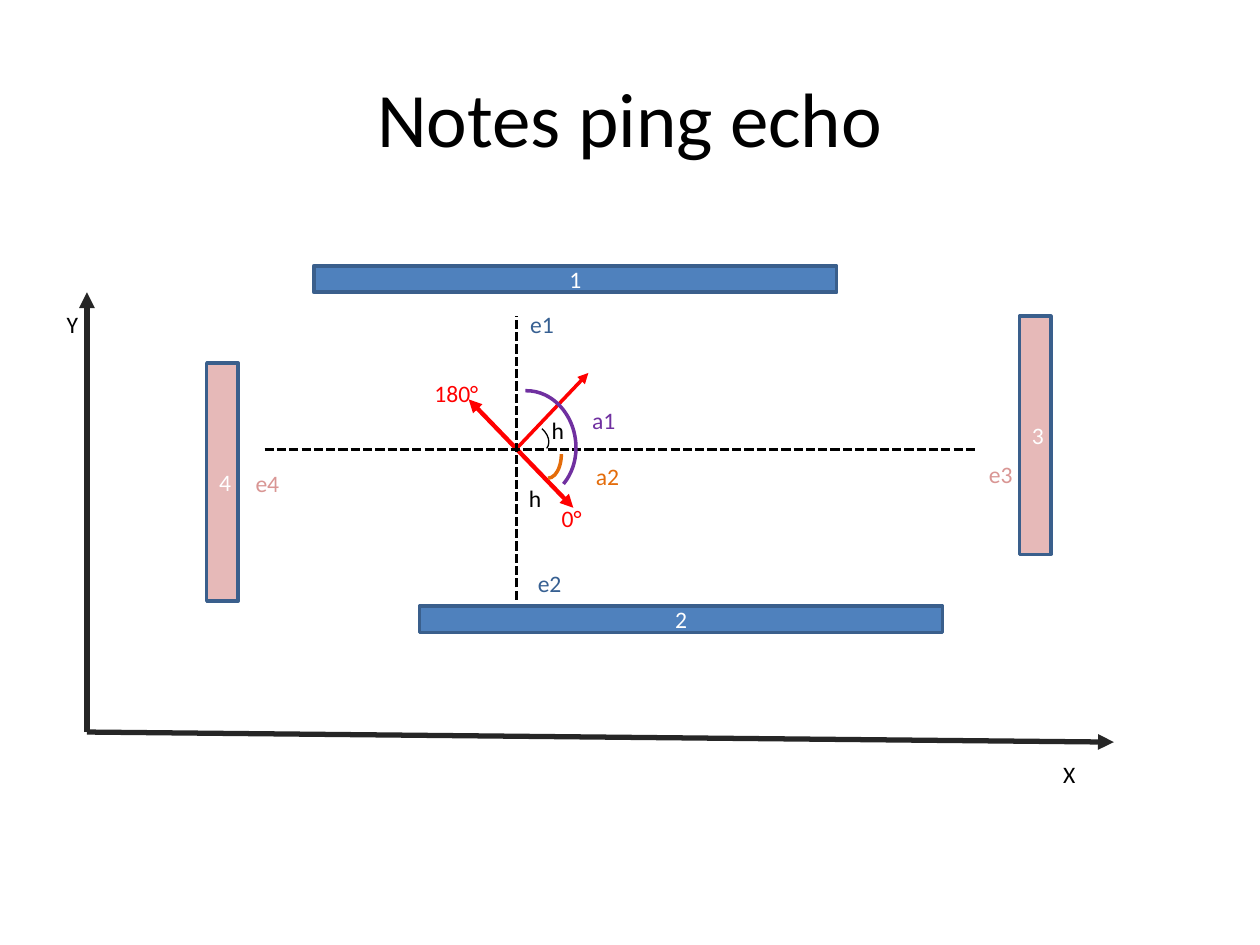
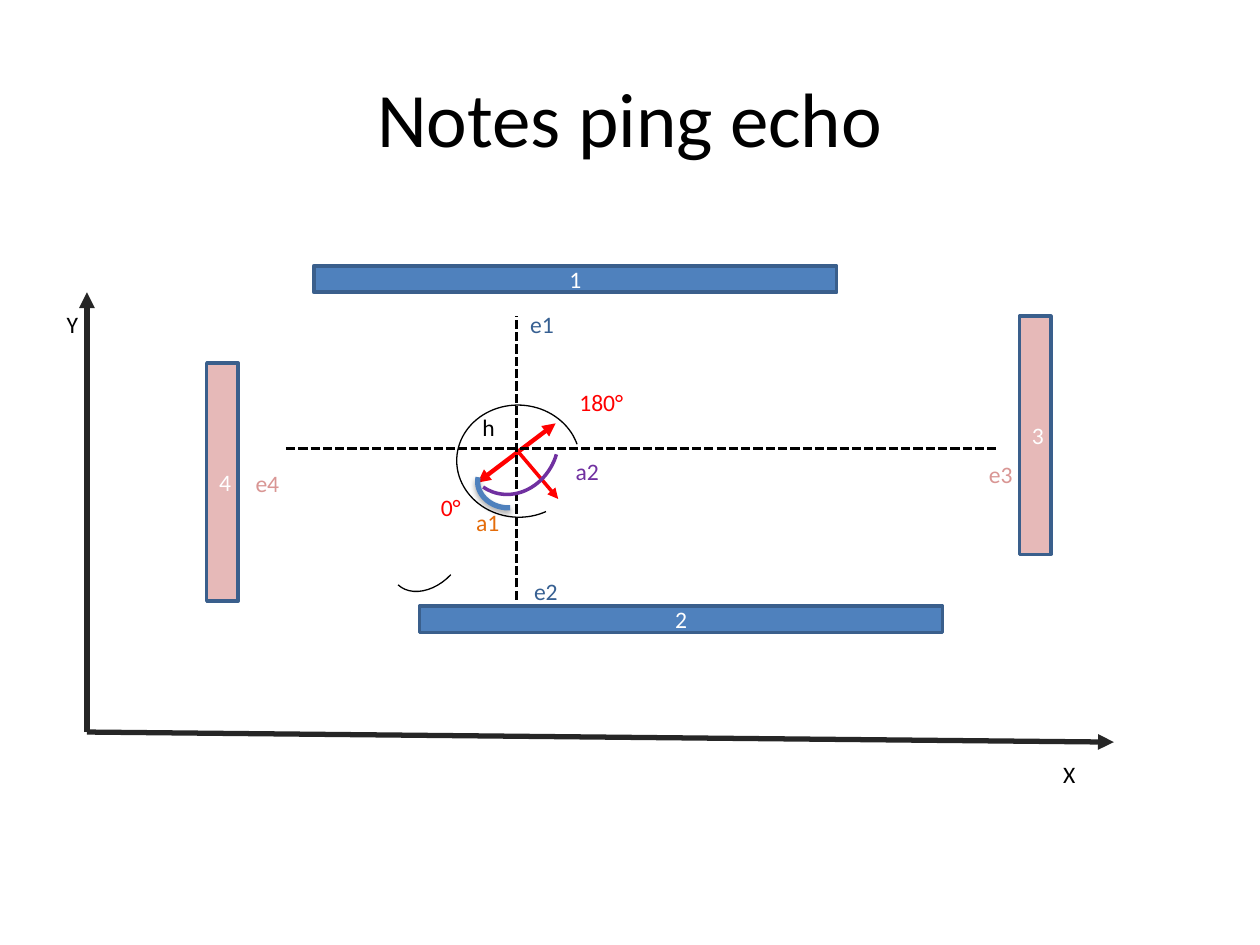
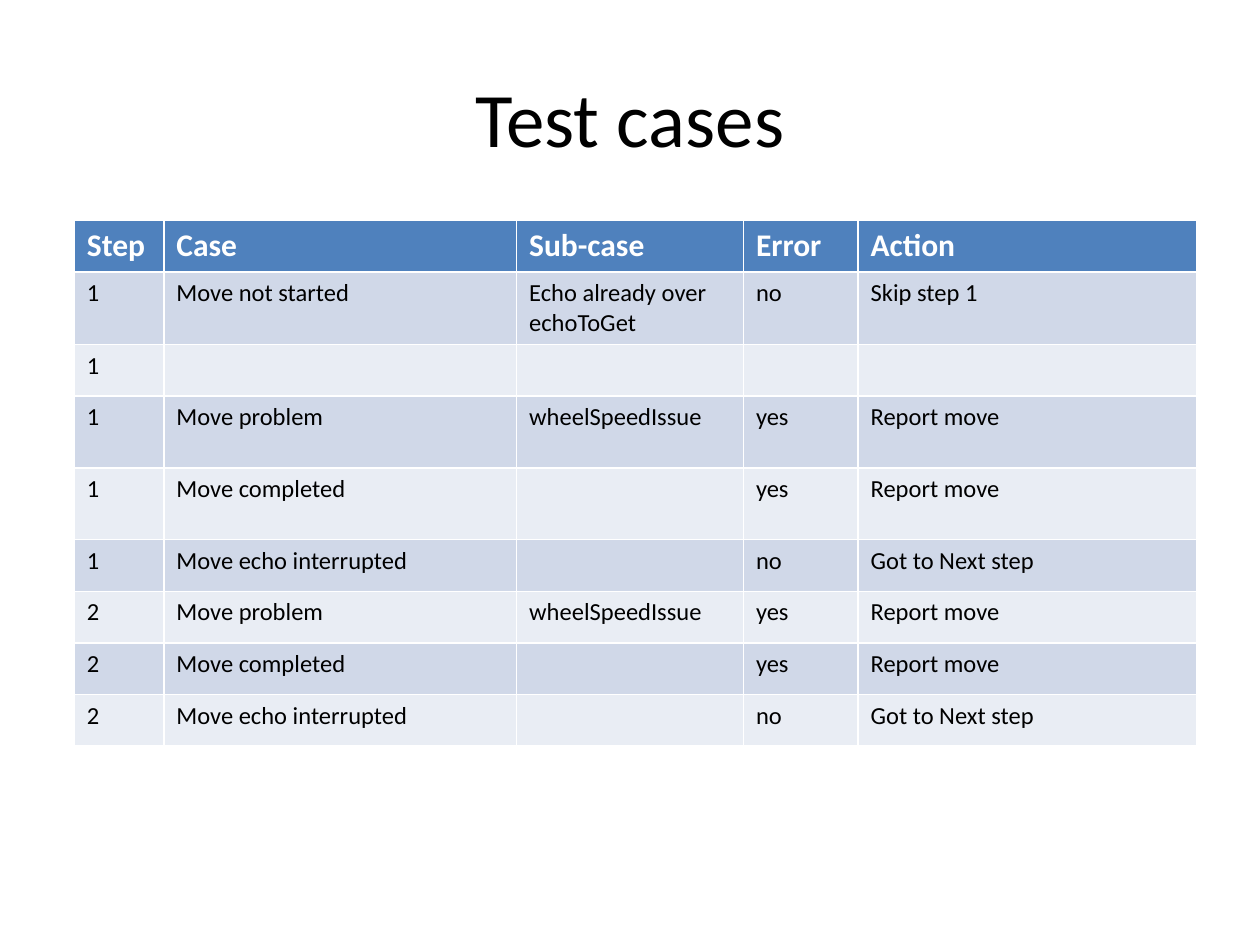
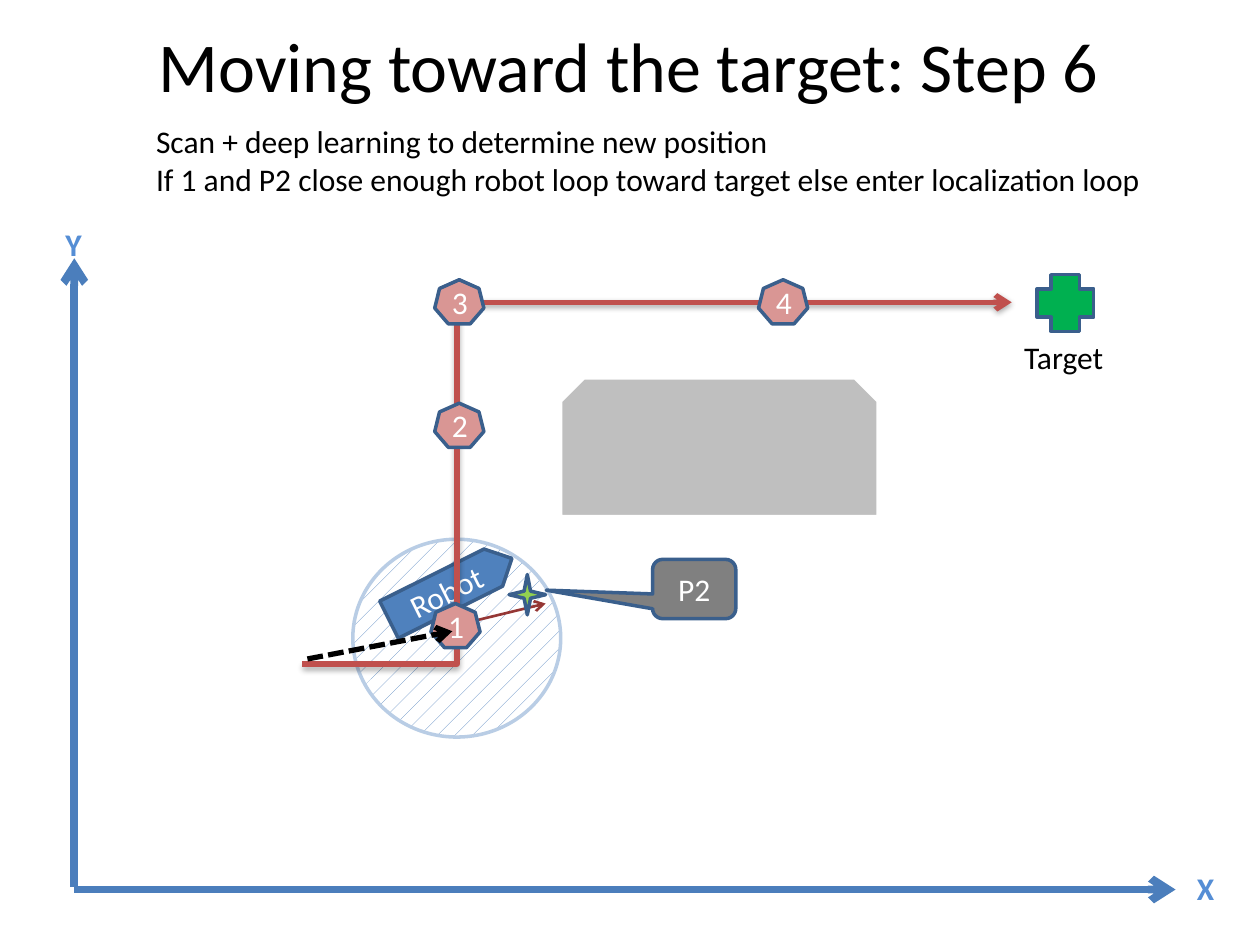
from lxml import etree
from pptx import Presentation
from pptx.dml.color import RGBColor
from pptx.enum.dml import MSO_LINE, MSO_PATTERN
from pptx.enum.shapes import MSO_CONNECTOR, MSO_SHAPE
from pptx.enum.text import MSO_ANCHOR, MSO_AUTO_SIZE, PP_ALIGN
from pptx.oxml import parse_xml
from pptx.oxml.ns import qn
from pptx.util import Inches, Pt

RECT, ARC, OVAL = MSO_SHAPE.RECTANGLE, MSO_SHAPE.ARC, MSO_SHAPE.OVAL
HEPTAGON, PENTAGON, CROSS = MSO_SHAPE.HEPTAGON, MSO_SHAPE.PENTAGON, MSO_SHAPE.CROSS
STAR, SNIP = MSO_SHAPE.STAR_4_POINT, MSO_SHAPE.SNIP_2_SAME_RECTANGLE
CALLOUT = MSO_SHAPE.ROUNDED_RECTANGULAR_CALLOUT
STRAIGHT, ELBOW = MSO_CONNECTOR.STRAIGHT, MSO_CONNECTOR.ELBOW
DASH = MSO_LINE.SQUARE_DOT

FONT = "Calibri"
BLACK, WHITE, RED = "000000", "FFFFFF", "FF0000"
BLUE, EDGE, DEEP_BLUE, SKY = "4F81BD", "3A5F8C", "376092", "558ED5"
PINK, ROSE, ORANGE, PURPLE = "E6B9B8", "D99694", "E46C0A", "7030A0"
SMALL, LARGE = 13.5, 18
SHADOW = ('<a:effectLst xmlns:a="http://schemas.openxmlformats.org/drawingml/2006/main">'
          '<a:outerShdw blurRad="39370" dist="22860" dir="5400000" rotWithShape="0">'
          '<a:srgbClr val="000000"><a:alpha val="35000"/></a:srgbClr>'
          '</a:outerShdw></a:effectLst>')


def add_box(slide, at, text="", kind=None, size=SMALL, color=WHITE, bold=False,
            fill=None, line=EDGE, width=2, rot=0, adj=(), wrap=False):
    """Add a preset shape, or a text box when no kind is given."""
    box = [Inches(v) for v in at]
    if kind is None:
        sp = slide.shapes.add_textbox(*box)
        sp.text_frame.word_wrap = wrap
        sp.text_frame.auto_size = MSO_AUTO_SIZE.SHAPE_TO_FIT_TEXT
    else:
        sp = slide.shapes.add_shape(kind, *box)
        sp.shadow.inherit = False
        sp.rotation = rot
        for i, value in enumerate(adj):
            sp.adjustments[i] = value
        if fill:
            sp.fill.solid()
            sp.fill.fore_color.rgb = RGBColor.from_string(fill)
        else:
            sp.fill.background()
        sp.line.color.rgb = RGBColor.from_string(line)
        sp.line.width = Pt(width)
        sp.text_frame.vertical_anchor = MSO_ANCHOR.MIDDLE
    if text:
        sp.text_frame.text = text
        for p in sp.text_frame.paragraphs:
            if kind is not None:
                p.alignment = PP_ALIGN.CENTER
            for r in p.runs:
                for name, value in {"name": FONT, "size": Pt(size), "bold": bold}.items():
                    setattr(r.font, name, value)
                r.font.color.rgb = RGBColor.from_string(color)
    return sp


def add_line(slide, ends, color, width, head=None, tail=None, dash=None, kind=STRAIGHT):
    cx = slide.shapes.add_connector(kind, *[Inches(v) for v in ends])
    cx.line.color.rgb = RGBColor.from_string(color)
    cx.line.width = Pt(width)
    if dash:
        cx.line.dash_style = dash
    ln = cx.line._get_or_add_ln()
    for tag, arrow in (("a:headEnd", head), ("a:tailEnd", tail)):
        if arrow:
            etree.SubElement(ln, qn(tag), type=arrow)
    if kind == STRAIGHT:
        etree.SubElement(cx._element.spPr, qn("a:effectLst"))
    return cx


prs = Presentation()
prs.slide_width, prs.slide_height = Inches(10), Inches(7.5)

slides = []
for title, size, at in [("Notes ping echo", 44, (0.5, 0.3, 9, 1.25)),
                        ("Notes ping echo", 44, (0.5, 0.3, 9, 1.25)),
                        ("Test cases", 44, (0.5, 0.3, 9, 1.25)),
                        ("Moving toward the target: Step 6", 40, (0.49, 0, 9, 1.03))]:
    s = prs.slides.add_slide(prs.slide_layouts[5])
    sp = s.shapes.title
    sp.left, sp.top, sp.width, sp.height = [Inches(v) for v in at]
    sp.text_frame.text = title
    sp.text_frame.vertical_anchor = MSO_ANCHOR.MIDDLE
    p = sp.text_frame.paragraphs[0]
    p.alignment = PP_ALIGN.CENTER
    font = p.runs[0].font
    font.name, font.size = FONT, Pt(size)
    font.color.rgb = RGBColor.from_string(BLACK)
    slides.append(s)
ping_1, ping_2, cases, moving = slides

# Ping echo slides: axes, four walls and their labels are shared
WALLS = [("1", 2.49, 2.11, 4.15, 0.21, BLUE), ("2", 3.33, 4.81, 4.15, 0.21, BLUE),
         ("3", 8.09, 2.51, 0.25, 1.89, PINK), ("4", 1.64, 2.88, 0.25, 1.89, PINK)]
SHARED_LABELS = [("Y", 0.43, 2.41, 0.29, BLACK), ("e1", 4.11, 2.41, 0.39, DEEP_BLUE),
                 ("e3", 7.75, 3.6, 0.39, ROSE), ("e4", 1.93, 3.67, 0.39, ROSE)]
PINGS = [
    {"slide": ping_1,
     "scan": (3.72, 3.17, 4.55, 4.03), "heading": (4.1, 3.56, 4.67, 2.96),
     "horizon": (2.1, 3.57, 7.76, 3.57),
     "arcs": [((4.16, 3.5, 0.38, 0.21), 90, (), ORANGE, 2),
              ((3.82, 3.1, 0.75, 0.87), 351.9, (164.86, 33.58), PURPLE, 2),
              ((4.11, 3.38, 0.26, 0.19), 40.2, (), BLACK, 0.75)],
     "labels": [("h", 4.28, 3.25, 0.3, BLACK), ("a2", 4.63, 3.62, 0.39, ORANGE),
                ("a1", 4.6, 3.17, 0.39, PURPLE), ("180°", 3.35, 2.96, 0.56, RED),
                ("0°", 4.36, 3.95, 0.36, RED), ("e2", 4.17, 4.47, 0.39, DEEP_BLUE),
                ("h", 4.1, 3.79, 0.3, BLACK)]},
    {"slide": ping_2,
     "scan": (4.41, 3.36, 3.79, 3.83), "heading": (4.1, 3.57, 4.43, 3.96),
     "horizon": (2.27, 3.56, 7.92, 3.56),
     "arcs": [((3.79, 3.63, 0.47, 0.4), 186.6, (153.94, 2.38), BLUE, 3),
              ((3.68, 3.08, 0.75, 0.85), 20, (213.4, 60.86), PURPLE, 2),
              ((3.67, 3.17, 0.89, 0.98), 272.9, (89.03, 42.6), BLACK, 0.75),
              ((3.05, 4.14, 0.69, 0.5), 133.2, (), BLACK, 0.75)],
     "labels": [("h", 3.73, 3.23, 0.25, BLACK), ("a1", 3.68, 3.98, 0.39, ORANGE),
                ("a2", 4.47, 3.58, 0.45, PURPLE), ("180°", 4.5, 3.03, 0.56, RED),
                ("0°", 3.4, 3.86, 0.36, RED), ("e2", 4.14, 4.53, 0.39, DEEP_BLUE)]},
]
for ping in PINGS:
    s = ping["slide"]
    for tip in [(0.69, 2.32), (8.84, 5.89)]:
        add_line(s, (0.69, 5.81, *tip), "262626", 3, tail="triangle")
    for text, x, y, w, h, fill in WALLS:
        add_box(s, (x, y, w, h), text, RECT, fill=fill)
    add_box(s, (8.34, 5.98, 0.5, 0.33), "X", color=BLACK, wrap=True)
    add_line(s, ping["scan"], RED, 2.5, head="triangle", tail="triangle")
    add_line(s, ping["heading"], RED, 2, tail="triangle")
    for ends in [ping["horizon"], (4.1, 4.76, 4.1, 2.51)]:
        add_line(s, ends, BLACK, 1.75, dash=DASH)
    for at, rot, adj, color, width in ping["arcs"]:
        sp = add_box(s, at, kind=ARC, line=color, width=width, rot=rot, adj=adj)
        if color == BLUE:
            spPr = sp._element.spPr
            spPr.replace(spPr.find(qn("a:effectLst")), parse_xml(SHADOW))
    for text, x, y, w, color in SHARED_LABELS + ping["labels"]:
        add_box(s, (x, y, w, 0.33), text, color=color)

# Test cases
ROWS = [
    ("Step", "Case", "Sub-case", "Error", "Action"),
    ("1", "Move not started", "Echo already over echoToGet", "no", "Skip step 1"),
    ("1", "", "", "", ""),
    ("1", "Move problem", "wheelSpeedIssue", "yes", "Report move"),
    ("1", "Move completed", "", "yes", "Report move"),
    ("1", "Move echo interrupted", "", "no", "Got to Next step"),
    ("2", "Move problem", "wheelSpeedIssue", "yes", "Report move"),
    ("2", "Move completed", "", "yes", "Report move"),
    ("2", "Move echo interrupted", "", "no", "Got to Next step"),
]
table = cases.shapes.add_table(len(ROWS), 5, Inches(0.59), Inches(1.75),
                               Inches(8.91), Inches(4.13)).table
for col, width in zip(table.columns, (0.71, 2.8, 1.8, 0.91, 2.69)):
    col.width = Inches(width)
for i, row in enumerate(ROWS):
    table.rows[i].height = Inches(0.57 if i in (3, 4) else 0.41)
    header = i == 0
    fill = BLUE if header else ("E9EDF4", "D0D8E8")[i % 2]
    for j, text in enumerate(row):
        cell = table.cell(i, j)
        cell.fill.solid()
        cell.fill.fore_color.rgb = RGBColor.from_string(fill)
        cell.text = text
        font = cell.text_frame.paragraphs[0].font
        if text:
            font = cell.text_frame.paragraphs[0].runs[0].font
        font.name, font.size, font.bold = FONT, Pt(LARGE if header else 14), header
        font.color.rgb = RGBColor.from_string(WHITE if header else BLACK)

# Moving toward the target
s = moving
for ends in [(0.59, 7.06, 9.33, 7.06), (0.59, 7.04, 0.59, 2.05)]:
    add_line(s, ends, "4B7EBC", 4.5, tail="arrow")
add_box(s, (1.14, 0.92, 8.05, 1.01),
        "Scan + deep learning to determine new position\n"
        "If 1 and P2 close enough robot loop toward target else enter localization loop",
        size=LARGE, color=BLACK)
zone = add_box(s, (2.8, 4.28, 1.65, 1.57), kind=OVAL, line="B9CDE5")
zone.fill.patterned()
zone.fill.pattern = MSO_PATTERN.PERCENT_5
zone.fill.fore_color.rgb = RGBColor.from_string(BLUE)
zone.fill.back_color.rgb = RGBColor.from_string(WHITE)
add_box(s, (3.03, 4.51, 1.09, 0.33), "Robot", PENTAGON, LARGE, fill=BLUE, rot=333.5)
add_line(s, (3.63, 4.96, 4.33, 4.79), "953735", 1.5, tail="arrow")
add_box(s, (8.23, 2.18, 0.45, 0.45), kind=CROSS, fill="00B050")
add_box(s, (8.03, 2.63, 0.84, 0.4), "Target", size=LARGE, color=BLACK)
for text, x, y, w in [("X", 9.4, 6.85, 0.34), ("Y", 0.42, 1.74, 0.33)]:
    add_box(s, (x, y, w, 0.4), text, size=LARGE, color=SKY, bold=True)
add_box(s, (4.45, 3, 2.52, 1.1), kind=SNIP, fill="BFBFBF", line=WHITE)

route = add_line(s, (2.4, 5.27, 8.03, 2.4), "C0504D", 3, tail="arrow", kind=ELBOW)
spPr = route._element.spPr
spPr.append(parse_xml(SHADOW))
guides = spPr.find(qn("a:prstGeom")).get_or_add_avLst()
etree.SubElement(guides, qn("a:gd"), name="adj1", fmla="val 21800")

for text, x, y in [("1", 3.42, 4.79), ("4", 6.02, 2.22), ("3", 3.45, 2.22), ("2", 3.45, 3.2)]:
    add_box(s, (x, y, 0.39, 0.35), text, HEPTAGON, LARGE, fill=ROSE)
add_line(s, (2.44, 5.23, 3.59, 5.01), BLACK, 3, tail="arrow", dash=DASH)
add_box(s, (4.04, 4.56, 0.29, 0.32), kind=STAR, fill="92D050")
add_box(s, (5.18, 4.44, 0.66, 0.47), "P2", CALLOUT, LARGE, fill="808080",
        adj=(-1.78, 0.02, 0.17))

prs.save("out.pptx")
